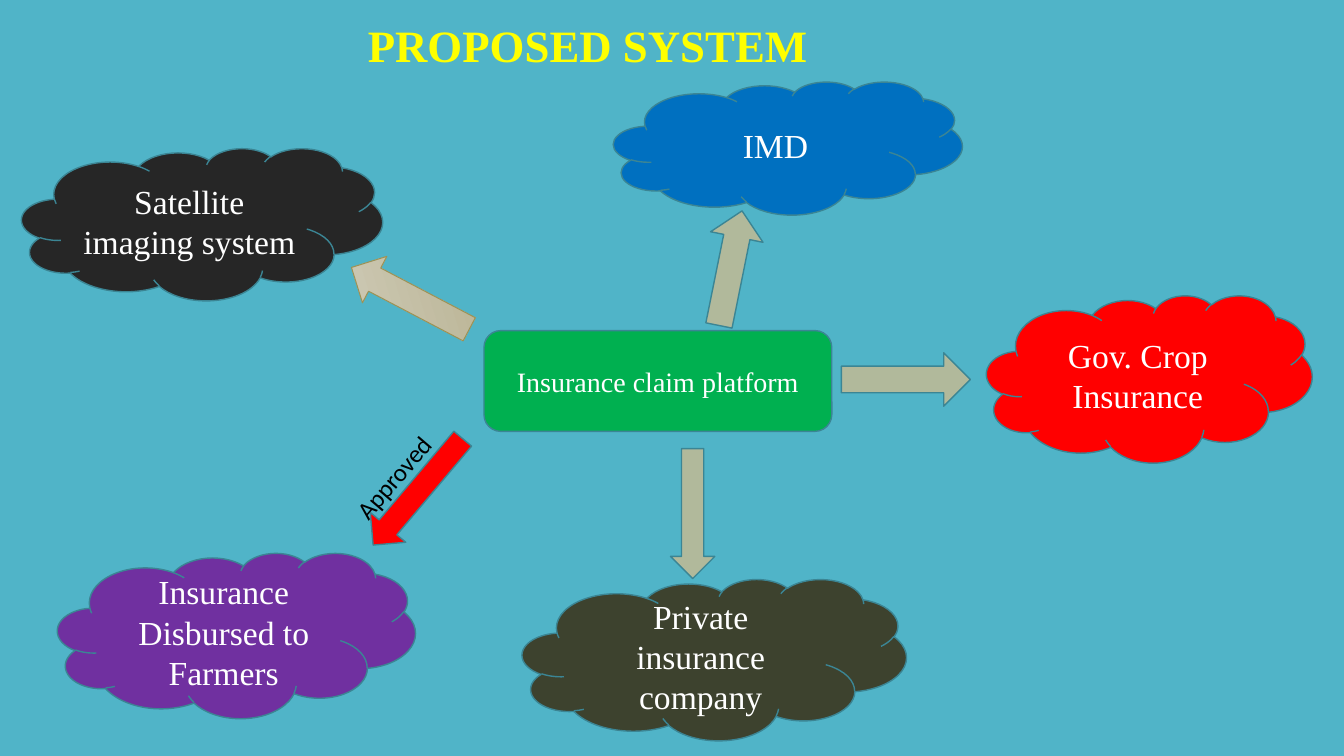
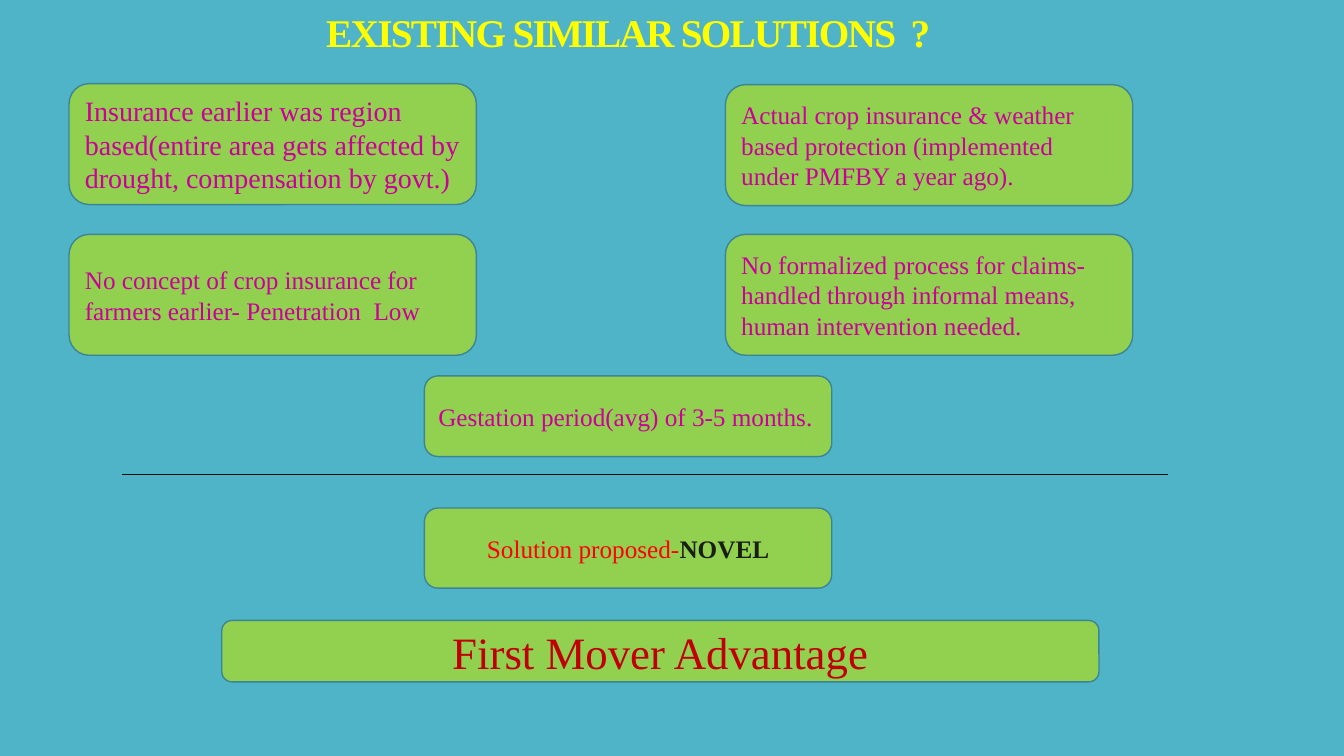
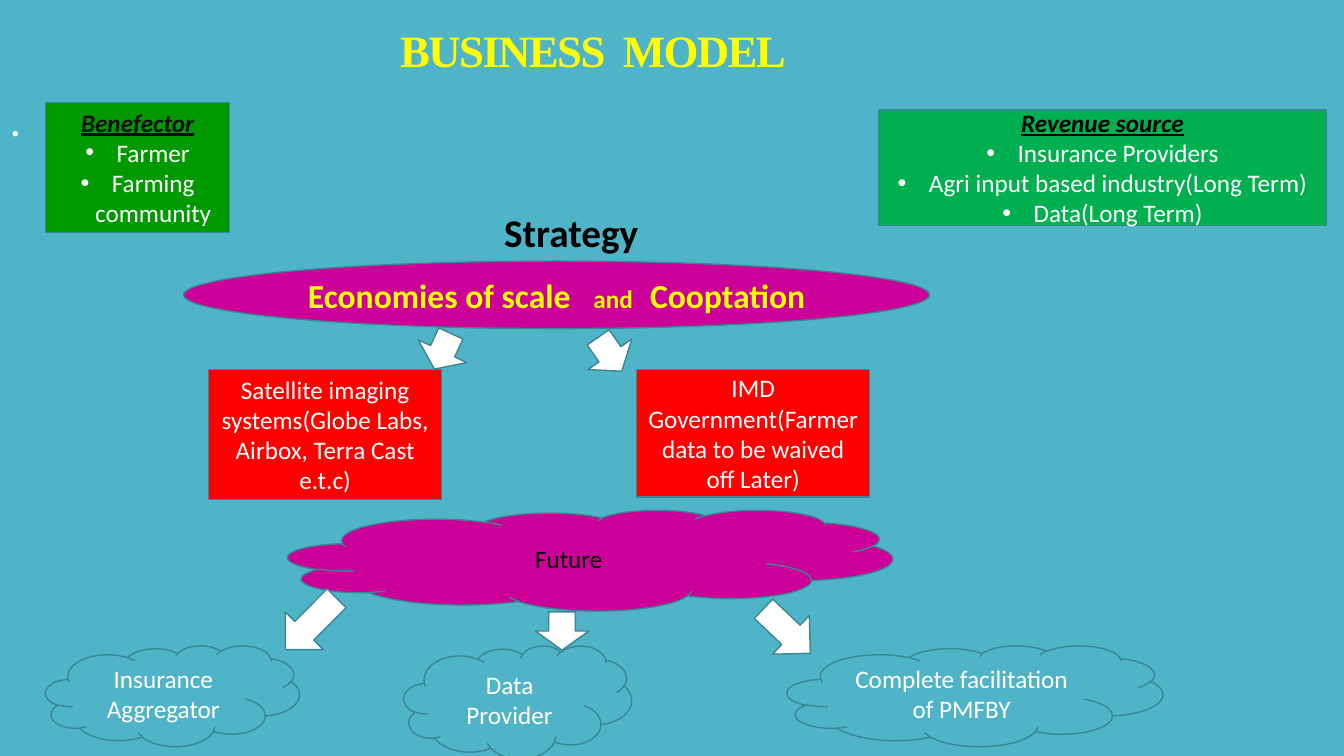
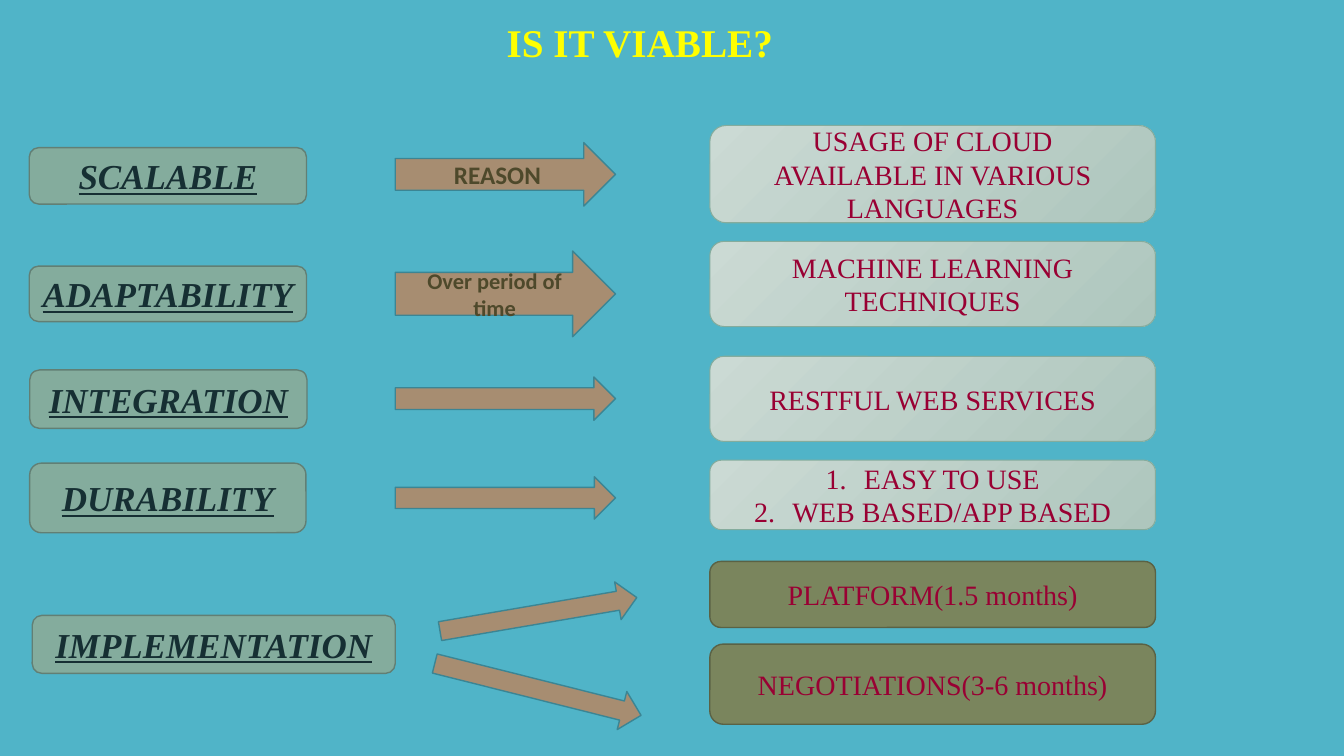
from pptx import Presentation
from pptx.dml.color import RGBColor
from pptx.enum.shapes import MSO_CONNECTOR, MSO_SHAPE
from pptx.enum.text import MSO_ANCHOR, PP_ALIGN
from pptx.oxml.xmlchemy import OxmlElement
from pptx.util import Inches, Pt

CLOUD = MSO_SHAPE.CLOUD
ROUNDED = MSO_SHAPE.ROUNDED_RECTANGLE
RECTANGLE = MSO_SHAPE.RECTANGLE
ELLIPSE = MSO_SHAPE.OVAL
RIGHT_ARROW = MSO_SHAPE.RIGHT_ARROW
DOWN_ARROW = MSO_SHAPE.DOWN_ARROW
UP_ARROW = MSO_SHAPE.UP_ARROW
STRAIGHT = MSO_CONNECTOR.STRAIGHT
LEFT, CENTER = PP_ALIGN.LEFT, PP_ALIGN.CENTER
TOP, MIDDLE, BOTTOM = MSO_ANCHOR.TOP, MSO_ANCHOR.MIDDLE, MSO_ANCHOR.BOTTOM

SERIF, SANS = "Times New Roman", "Calibri"

BACKGROUND = RGBColor(0x50, 0xB4, 0xC8)
OUTLINE = RGBColor(0x3B, 0x85, 0x94)
YELLOW = RGBColor(0xFF, 0xFF, 0x00)
WHITE = RGBColor(0xFF, 0xFF, 0xFF)
BLACK = RGBColor(0x00, 0x00, 0x00)
NEAR_BLACK = RGBColor(0x0D, 0x0D, 0x0D)
CHARCOAL = RGBColor(0x26, 0x26, 0x26)
RED = RGBColor(0xFF, 0x00, 0x00)
DARK_RED = RGBColor(0xC0, 0x00, 0x00)
BLUE = RGBColor(0x00, 0x70, 0xC0)
PURPLE = RGBColor(0x70, 0x30, 0xA0)
MAGENTA = RGBColor(0xCC, 0x00, 0x99)
CRIMSON = RGBColor(0x99, 0x00, 0x33)
GREEN = RGBColor(0x00, 0xB0, 0x50)
FARM_GREEN = RGBColor(0x00, 0x99, 0x00)
LIME = RGBColor(0x92, 0xD0, 0x50)
DEEP_GREEN = RGBColor(0x19, 0x1F, 0x0F)
MOSS = RGBColor(0x3D, 0x42, 0x2E)
SAGE = RGBColor(0xB1, 0xB9, 0x9B)
SAND_LIGHT = RGBColor(0xCF, 0xCB, 0xB8)
SAND_DARK = RGBColor(0xBA, 0xB4, 0x94)
SAND_LINE = RGBColor(0x9B, 0x92, 0x56)
MINT = RGBColor(0x84, 0xAC, 0x9D)
MINT_LINE = RGBColor(0x62, 0x7F, 0x74)
MINT_LIGHT = RGBColor(0xCB, 0xDA, 0xD4)
MINT_DARK = RGBColor(0xAE, 0xC6, 0xBD)
DARK_TEAL = RGBColor(0x16, 0x2F, 0x33)
TAN = RGBColor(0xA7, 0x8D, 0x71)
BROWN = RGBColor(0x4E, 0x49, 0x2B)
OLIVE = RGBColor(0x7A, 0x85, 0x5D)
OLIVE_LINE = RGBColor(0x5A, 0x62, 0x45)

presentation = Presentation()
presentation.slide_width = Inches(13.33)
presentation.slide_height = Inches(7.5)
CELL = presentation.slide_height / 75

background = presentation.slide_master.background.fill
background.solid()
background.fore_color.rgb = BACKGROUND


def add_block(slide, kind, box, fill=None, line=OUTLINE, rotation=0):
    left, top, width, height = [round(cells * CELL) for cells in box]
    if kind is None:
        shape = slide.shapes.add_textbox(left, top, width, height)
    else:
        shape = slide.shapes.add_shape(kind, left, top, width, height)
        shape.shadow.inherit = False
        shape.line.color.rgb = line
        if isinstance(fill, list):
            shape.fill.gradient()
            shape.fill.gradient_angle = 315
            for stop, color in zip(shape.fill.gradient_stops, fill):
                stop.color.rgb = color
            shape.line.width = Pt(0.75)
        else:
            shape.fill.solid()
            shape.fill.fore_color.rgb = fill
            shape.line.width = Pt(1)
    shape.rotation = rotation
    return shape


def write_text(shape, text, size, color, font=SERIF, bold=False, align=CENTER, anchor=MIDDLE):
    text_frame = shape.text_frame
    text_frame.word_wrap = True
    text_frame.vertical_anchor = anchor
    text_frame.text = text
    for paragraph in text_frame.paragraphs:
        paragraph.alignment = align
        for run in paragraph.runs:
            run.font.name = font
            run.font.size = Pt(size)
            run.font.bold = bold
            run.font.color.rgb = color
    return text_frame.paragraphs


titles = [
    ("PROPOSED SYSTEM", (33.3, 1.25, 50, 6.4), 32, 0, 1.0, TOP),
    ("EXISTING SIMILAR SOLUTIONS  ?", (3.4, 1.6, 117.8, 4.4), 28, -120, 0.8, BOTTOM),
    ("BUSINESS  MODEL", (19.25, 1.1, 79.1, 6.9), 32, -120, 0.8, BOTTOM),
    ("IS IT VIABLE?", (2.3, 2.05, 122.3, 6), 28, 0, 0.85, TOP),
]
slides = []
for text, box, size, tracking, line_spacing, anchor in titles:
    slide = presentation.slides.add_slide(presentation.slide_layouts[6])
    title = write_text(add_block(slide, None, box), text, size, YELLOW, bold=True, anchor=anchor)[0]
    title.line_spacing = line_spacing
    title.runs[0]._r.get_or_add_rPr().set("spc", str(tracking))
    slides.append(slide)
system_slide, existing_slide, business_slide, viable_slide = slides

parties = [
    ("Satellite imaging system", (2.15, 14.7, 35.8, 15.1), CHARCOAL),
    ("IMD", (60.85, 8.1, 34.6, 13.2), BLUE),
    ("Gov. Crop Insurance", (97.85, 29.3, 32.3, 16.6), RED),
    ("Private insurance company", (51.8, 57.45, 38.1, 16), MOSS),
    ("Insurance Disbursed to Farmers", (5.7, 54.85, 35.5, 16.4), PURPLE),
]
for text, box, fill in parties:
    write_text(add_block(system_slide, CLOUD, box, fill), text, 24, WHITE)
platform = add_block(system_slide, ROUNDED, (48, 32.8, 34.5, 10), GREEN)
write_text(platform, "Insurance claim platform", 20, WHITE)

system_arrows = [
    (RIGHT_ARROW, (83.45, 35, 12.8, 5.3), SAGE, OUTLINE, 0),
    (DOWN_ARROW, (66.5, 44.5, 4.4, 12.9), SAGE, OUTLINE, 0),
    (DOWN_ARROW, (39.15, 41.9, 4.6, 13.8), RED, OUTLINE, 40.1),
    (UP_ARROW, (38.1, 23, 5.2, 13.2), [SAND_LIGHT, SAND_DARK], SAND_LINE, 297.7),
    (DOWN_ARROW, (69.8, 20.8, 5.3, 11.6), SAGE, OUTLINE, 191.4),
]
for kind, box, fill, line, rotation in system_arrows:
    add_block(system_slide, kind, box, fill, line, rotation)
approved = add_block(system_slide, None, (32.8, 44.75, 13.5, 4), rotation=310.6)
write_text(approved, "Approved", 18, BLACK, SANS, align=LEFT, anchor=TOP)

existing_solutions = [
    ("Insurance earlier was region based(entire area gets affected by drought, compensation by govt.)",
     6.85, 8.3, 20),
    ("No concept of crop insurance for farmers earlier- Penetration  Low", 6.85, 23.25, 18),
    ("Actual crop insurance & weather based protection (implemented under PMFBY a year ago).",
     71.95, 8.4, 18),
    ("No formalized process for claims-handled through informal means, human intervention needed.",
     71.95, 23.25, 18),
]
for text, left, top, size in existing_solutions:
    solution = add_block(existing_slide, ROUNDED, (left, top, 40.4, 12), LIME)
    write_text(solution, text, size, MAGENTA, align=LEFT)

conclusions = [
    ("Gestation period(avg) of 3-5 months.", (42.1, 37.3, 40.4, 8), 18, MAGENTA, LEFT),
    ("Solution proposed-", (42.1, 50.4, 40.4, 7.95), 18, RED, CENTER),
    ("First Mover Advantage", (22, 61.55, 87, 6.1), 32, DARK_RED, CENTER),
]
for text, box, size, color, align in conclusions:
    paragraph = write_text(add_block(existing_slide, ROUNDED, box, LIME), text, size, color, align=align)[0]
    if color == RED:
        novel = paragraph.add_run()
        novel.text = "NOVEL"
        novel.font.name = SERIF
        novel.font.size = Pt(size)
        novel.font.bold = True
        novel.font.color.rgb = DEEP_GREEN

divider_ends = [round(cells * CELL) for cells in (12.1, 47.05, 115.85, 47.05)]
divider = existing_slide.shapes.add_connector(STRAIGHT, *divider_ends)
divider.line.color.rgb = NEAR_BLACK
divider.line.width = Pt(0.75)
divider._element.spPr.append(OxmlElement("a:effectLst"))

dot = add_block(business_slide, None, (0, 9.4, 10, 6))
write_text(dot, ".", 32, WHITE, SANS, align=LEFT, anchor=TOP)[0].line_spacing = 0.85

list_items = []
panels = [
    ("Benefector\nFarmer\nFarming community", (4.5, 10.15, 18.3, 12.9), FARM_GREEN, NEAR_BLACK),
    ("Revenue source\nInsurance Providers\nAgri input based industry(Long Term)\nData(Long Term)",
     (87.15, 10.9, 44.4, 11.45), GREEN, BLACK),
]
for text, box, fill, heading_color in panels:
    heading, *items = write_text(add_block(business_slide, RECTANGLE, box, fill), text, 18, WHITE, SANS)
    heading_font = heading.runs[0].font
    heading_font.bold = heading_font.italic = heading_font.underline = True
    heading_font.color.rgb = heading_color
    list_items += [(item, 0.31, [("a:buFont", "typeface", "Arial"), ("a:buChar", "char", "•")])
                   for item in items]

strategy = add_block(business_slide, ELLIPSE, (18.2, 25.9, 74, 6.7), MAGENTA)
paragraph = write_text(strategy, "", 24, YELLOW)[0]
strategy_runs = [
    ("Economies of scale", 24, 0),
    (" ", 24, 1080),
    ("and", 18, 0),
    (" ", 18, 810),
    ("Cooptation", 24, 0),
]
for text, size, tracking in strategy_runs:
    run = paragraph.add_run()
    run.text = text
    run.font.name = SANS
    run.font.size = Pt(size)
    run.font.bold = True
    run.font.color.rgb = YELLOW
    run._r.get_or_add_rPr().set("spc", str(tracking))

goals = [
    ("Future", (28.55, 50.6, 60, 10), MAGENTA, BLACK),
    ("Insurance Aggregator", (4.5, 64.05, 25.2, 10), BACKGROUND, WHITE),
    ("Data Provider", (40.05, 64.05, 22.6, 11.2), BACKGROUND, WHITE),
    ("Complete facilitation of PMFBY", (78.05, 64.05, 37.3, 10), BACKGROUND, WHITE),
]
for text, box, fill, color in goals:
    write_text(add_block(business_slide, CLOUD, box, fill), text, 18, color, SANS)

business_arrows = [
    (28.2, 58.3, 7.2, 44.9),
    (53.1, 60.7, 3.8, 0),
    (75.4, 59.4, 6.4, 313.6),
    (57.85, 33.1, 4.1, 325.1),
    (41.25, 32.9, 3.9, 25.1),
]
for left, top, height, rotation in business_arrows:
    add_block(business_slide, DOWN_ARROW, (left, top, 5.3, height), WHITE, rotation=rotation)

strategy_label = add_block(business_slide, None, (37.1, 20.2, 39.1, 5.7))
write_text(strategy_label, "Strategy", 28, BLACK, SANS, bold=True, anchor=TOP)
partners = [
    ("Satellite imaging systems(Globe Labs, Airbox, Terra Cast e.t.c)", 20.7, 12.9),
    ("IMD\nGovernment(Farmer data to be waived off Later)", 63.15, 12.65),
]
for text, left, height in partners:
    partner = add_block(business_slide, RECTANGLE, (left, 36.65, 23.1, height), RED)
    write_text(partner, text, 18, WHITE, SANS)

qualities = [
    ("SCALABLE", (2.9, 14.65, 27.5, 5.6)),
    ("ADAPTABILITY", (2.9, 26.4, 27.5, 5.5)),
    ("INTEGRATION", (2.95, 36.7, 27.5, 5.8)),
    ("DURABILITY", (2.95, 45.95, 27.4, 6.9)),
    ("IMPLEMENTATION", (3.2, 61.05, 36, 5.75)),
]
for text, box in qualities:
    quality = add_block(viable_slide, ROUNDED, box, MINT, MINT_LINE)
    font = write_text(quality, text, 25, DARK_TEAL, bold=True)[0].runs[0].font
    font.italic = font.underline = True

viable_arrows = [
    ("REASON", 18, (39.2, 14.15, 21.85, 6.3), 0),
    ("Over period of time", 16, (39.2, 24.9, 21.85, 8.5), 0),
    ("", 18, (39.2, 37.4, 21.85, 4.3), 0),
    ("", 18, (39.2, 47.3, 21.85, 4.2), 0),
    ("", 18, (43.5, 59.05, 19.8, 3.8), 350.3),
    ("", 18, (42.8, 66.45, 21.1, 3.9), 14.1),
]
for text, size, box, rotation in viable_arrows:
    arrow = add_block(viable_slide, RIGHT_ARROW, box, TAN, rotation=rotation)
    write_text(arrow, text, size, BROWN, SANS, bold=True)

PALE = [MINT_LIGHT, MINT_DARK]
reasons = [
    ("USAGE OF CLOUD\nAVAILABLE IN VARIOUS LANGUAGES", 12.45, 9.65, PALE, MINT),
    ("MACHINE LEARNING TECHNIQUES", 23.95, 8.45, PALE, MINT),
    ("RESTFUL WEB SERVICES", 35.35, 8.45, PALE, MINT),
    ("EASY TO USE\nWEB BASED/APP BASED", 45.65, 6.9, PALE, MINT),
    ("PLATFORM(1.5 months)", 55.7, 6.55, OLIVE, OLIVE_LINE),
    ("NEGOTIATIONS(3-6 months)", 63.9, 7.95, OLIVE, OLIVE_LINE),
]
for text, top, height, fill, line in reasons:
    reason = add_block(viable_slide, ROUNDED, (70.4, top, 44.2, height), fill, line)
    paragraphs = write_text(reason, text, 20, CRIMSON)
    if text.startswith("EASY"):
        list_items += [(item, 0.38, [("a:buAutoNum", "type", "arabicPeriod")]) for item in paragraphs]

for paragraph, indent, bullet_parts in list_items:
    properties = paragraph._p.get_or_add_pPr()
    properties.set("marL", str(Inches(indent)))
    properties.set("indent", str(-Inches(indent)))
    for tag, attribute, value in bullet_parts:
        bullet = OxmlElement(tag)
        bullet.set(attribute, value)
        properties.append(bullet)

presentation.save("out.pptx")
